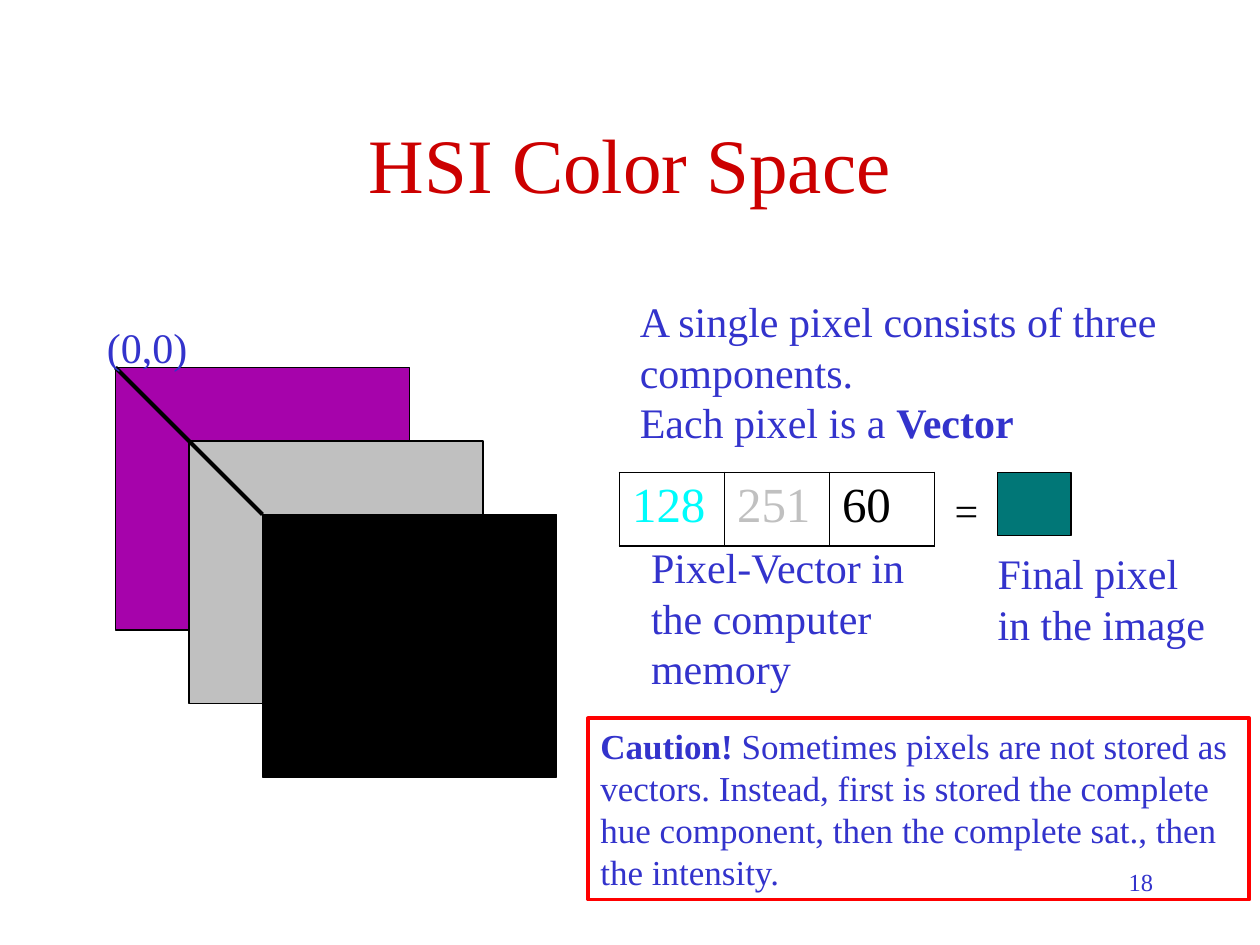
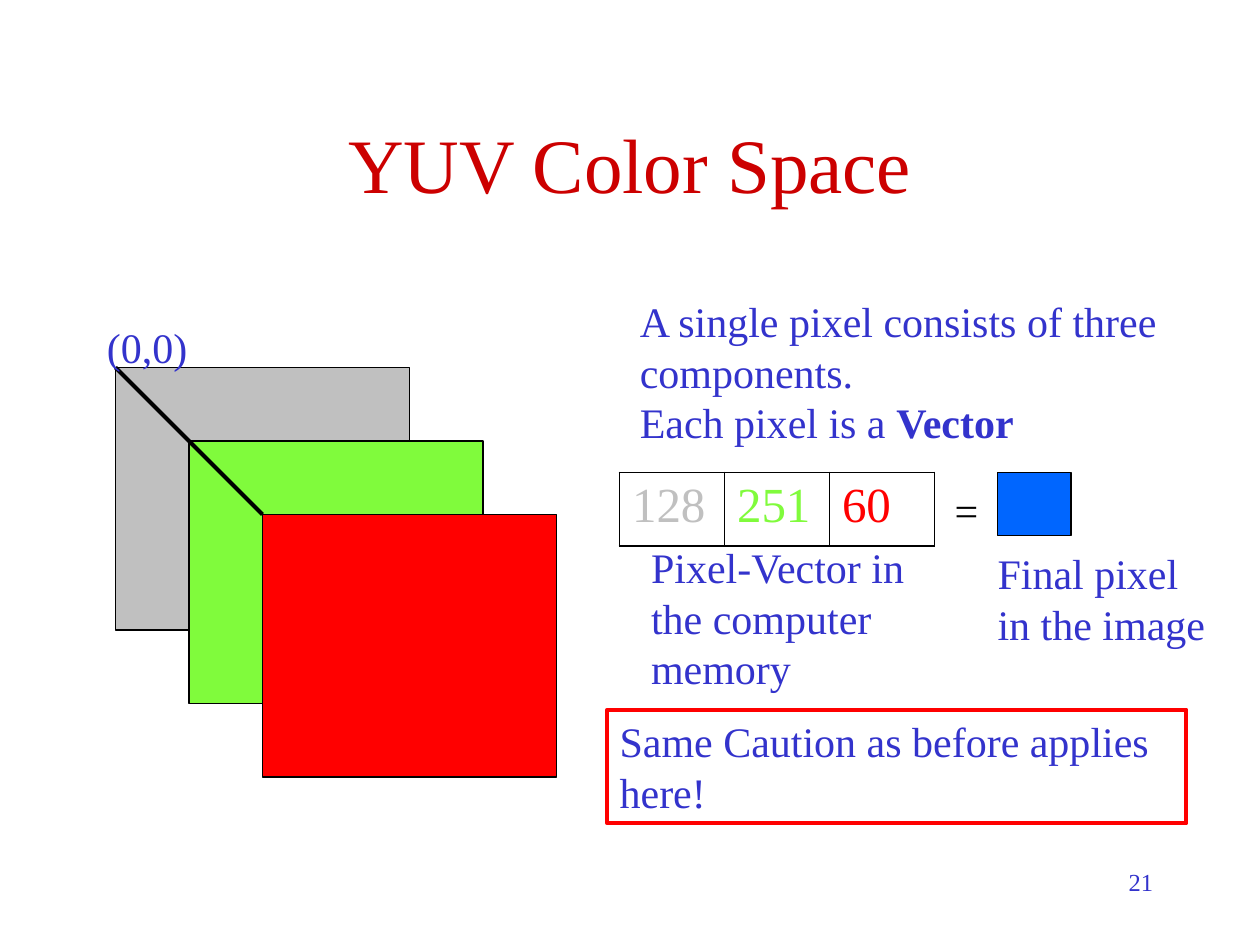
from dataclasses import dataclass

from lxml import etree
from pptx import Presentation
from pptx.dml.color import RGBColor
from pptx.enum.shapes import MSO_CONNECTOR, MSO_SHAPE
from pptx.enum.text import MSO_ANCHOR, MSO_AUTO_SIZE, PP_ALIGN
from pptx.oxml.ns import qn
from pptx.slide import Slide
from pptx.table import _Cell
from pptx.text.text import TextFrame, _Paragraph
from pptx.util import Pt

RECTANGLE = MSO_SHAPE.RECTANGLE
STRAIGHT = MSO_CONNECTOR.STRAIGHT
MIDDLE = MSO_ANCHOR.MIDDLE
CENTER, LEFT, RIGHT = PP_ALIGN.CENTER, PP_ALIGN.LEFT, PP_ALIGN.RIGHT
FIXED_SIZE = MSO_AUTO_SIZE.NONE
GROW = MSO_AUTO_SIZE.SHAPE_TO_FIT_TEXT
TITLE_ONLY = 5

FONT = "Times New Roman"
BLACK, RED, GRAY = "000000", "FF0000", "C0C0C0"
TITLE_RED, TEXT_BLUE = "CC0000", "3333CC"
OUTER_BORDER, INNER_BORDER = 1.08, 0.45

PLANE_LEFT, PLANE_TOP = 66, 210
PLANE_WIDTH, PLANE_HEIGHT, PLANE_STEP = 168, 150, 42
CELL_WIDTH, CELL_HEIGHT = 60, 42


@dataclass(frozen=True)
class Box:
    left: float
    top: float
    width: float
    height: float

    def in_points(self) -> tuple[Pt, Pt, Pt, Pt]:
        return Pt(self.left), Pt(self.top), Pt(self.width), Pt(self.height)


@dataclass(frozen=True)
class Words:
    text: str
    bold: bool = False


@dataclass(frozen=True)
class Label:
    box: Box
    paragraphs: tuple[tuple[Words, ...], ...]
    size: float = 24
    color: str = TEXT_BLUE
    wrap: bool = True


@dataclass(frozen=True)
class Component:
    value: str
    plane_color: str
    value_color: str


@dataclass(frozen=True)
class ColorSpace:
    title: str
    components: tuple[Component, ...]
    pixel_color: str
    caution: Label
    page: str


ORIGIN = Label(Box(54, 180, 60.5, 36), ((Words("(0,0)"),),), wrap=False)
CAPTIONS = (
    Label(Box(358.5, 165.5, 331, 93.5),
          ((Words("A single pixel consists of three components."),),
           (Words("Each pixel is a "), Words("Vector", bold=True)))),
    Label(Box(538.5, 273.5, 28, 36), ((Words("="),),), color=BLACK, wrap=False),
    Label(Box(365, 306, 163.5, 93.5),
          ((Words("Pixel-Vector in the computer memory"),),)),
    Label(Box(563, 309.5, 139, 65), ((Words("Final pixel in the image"),),)),
)

COLOR_SPACES = (
    ColorSpace(
        "HSI Color Space",
        (Component("128", "A603AB", "00FCFC"),
         Component("251", GRAY, GRAY),
         Component("60", BLACK, BLACK)),
        "017777",
        Label(Box(336, 410.5, 378, 103.5),
              ((Words("Caution! ", bold=True),
                Words("Sometimes pixels are not stored as vectors. Instead, first "
                      "is stored the complete hue component, then the complete "
                      "sat., then the intensity.")),),
              size=20),
        "18",
    ),
    ColorSpace(
        "YUV Color Space",
        (Component("128", GRAY, GRAY),
         Component("251", "80FB3C", "80FB3C"),
         Component("60", RED, RED)),
        "0066FF",
        Label(Box(347, 405.5, 331, 65),
              ((Words("Same Caution as before applies here!"),),)),
        "21",
    ),
)


def rgb(value: str) -> RGBColor:
    return RGBColor.from_string(value)


def add_words(paragraph: _Paragraph, words: Words, size: float, color: str) -> None:
    run = paragraph.add_run()
    run.text = words.text
    run.font.name = FONT
    run.font.size = Pt(size)
    run.font.bold = words.bold
    run.font.color.rgb = rgb(color)


def add_label(slide: Slide, label: Label, border: str | None = None) -> None:
    text_box = slide.shapes.add_textbox(*label.box.in_points())
    frame = text_box.text_frame
    frame.word_wrap = label.wrap
    frame.auto_size = GROW
    for index, paragraph_words in enumerate(label.paragraphs):
        paragraph = frame.add_paragraph() if index else frame.paragraphs[0]
        paragraph.alignment = LEFT
        for words in paragraph_words:
            add_words(paragraph, words, label.size, label.color)
    if border:
        text_box.line.color.rgb = rgb(border)
        text_box.line.width = Pt(2.25)


def add_filled_rectangle(slide: Slide, box: Box, color: str) -> None:
    rectangle = slide.shapes.add_shape(RECTANGLE, *box.in_points())
    rectangle.shadow.inherit = False
    rectangle.fill.solid()
    rectangle.fill.fore_color.rgb = rgb(color)
    rectangle.line.color.rgb = rgb(BLACK)
    rectangle.line.width = Pt(0.75)


def add_title(slide: Slide, text: str) -> None:
    title = slide.shapes.title
    title.left, title.top, title.width, title.height = Box(54, 48, 612, 90).in_points()
    frame: TextFrame = title.text_frame
    frame.auto_size = FIXED_SIZE
    frame.vertical_anchor = MIDDLE
    frame.paragraphs[0].alignment = CENTER
    add_words(frame.paragraphs[0], Words(text), 44, TITLE_RED)


def add_planes(slide: Slide, components: tuple[Component, ...]) -> None:
    """Stack one plane per component, with a diagonal through their corners."""
    for index, component in enumerate(components):
        offset = index * PLANE_STEP
        add_filled_rectangle(
            slide,
            Box(PLANE_LEFT + offset, PLANE_TOP + offset, PLANE_WIDTH, PLANE_HEIGHT),
            component.plane_color)
    depth = (len(components) - 1) * PLANE_STEP
    diagonal = slide.shapes.add_connector(
        STRAIGHT, Pt(PLANE_LEFT), Pt(PLANE_TOP),
        Pt(PLANE_LEFT + depth), Pt(PLANE_TOP + depth))
    diagonal.line.color.rgb = rgb(BLACK)
    diagonal.line.width = Pt(2.25)
    etree.SubElement(diagonal._element.spPr, qn("a:effectLst"))


def set_cell_borders(cell: _Cell, left: float, right: float) -> None:
    properties = cell._tc.get_or_add_tcPr()
    widths = {"L": left, "R": right, "T": OUTER_BORDER, "B": OUTER_BORDER}
    for side, width in widths.items():
        border = etree.SubElement(properties, qn(f"a:ln{side}"), w=str(int(Pt(width))))
        fill = etree.SubElement(border, qn("a:solidFill"))
        etree.SubElement(fill, qn("a:srgbClr"), val=BLACK)


def add_pixel_vector(slide: Slide, components: tuple[Component, ...]) -> None:
    count = len(components)
    box = Box(354, 270, count * CELL_WIDTH, CELL_HEIGHT)
    vector = slide.shapes.add_table(1, count, *box.in_points()).table
    vector.first_row = vector.horz_banding = False
    for index, component in enumerate(components):
        vector.columns[index].width = Pt(CELL_WIDTH)
        cell = vector.cell(0, index)
        set_cell_borders(
            cell,
            left=INNER_BORDER if index else OUTER_BORDER,
            right=INNER_BORDER if index < count - 1 else OUTER_BORDER)
        cell.fill.background()
        add_words(cell.text_frame.paragraphs[0], Words(component.value), 28,
                  component.value_color)


def add_page_number(slide: Slide, number: str) -> None:
    frame = slide.shapes.add_textbox(*Box(516, 492, 150, 36).in_points()).text_frame
    frame.word_wrap = True
    frame.paragraphs[0].alignment = RIGHT
    add_words(frame.paragraphs[0], Words(number), 14, TEXT_BLUE)


def add_color_space(slide: Slide, space: ColorSpace) -> None:
    add_title(slide, space.title)
    add_planes(slide, space.components)
    add_label(slide, ORIGIN)
    add_pixel_vector(slide, space.components)
    add_filled_rectangle(slide, Box(570, 270, 42, 36), space.pixel_color)
    for caption in CAPTIONS:
        add_label(slide, caption)
    add_label(slide, space.caution, border=RED)
    add_page_number(slide, space.page)


def main() -> None:
    presentation = Presentation()
    presentation.slide_width, presentation.slide_height = Pt(720), Pt(540)
    for space in COLOR_SPACES:
        slide = presentation.slides.add_slide(presentation.slide_layouts[TITLE_ONLY])
        add_color_space(slide, space)
    presentation.save("out.pptx")


if __name__ == "__main__":
    main()
